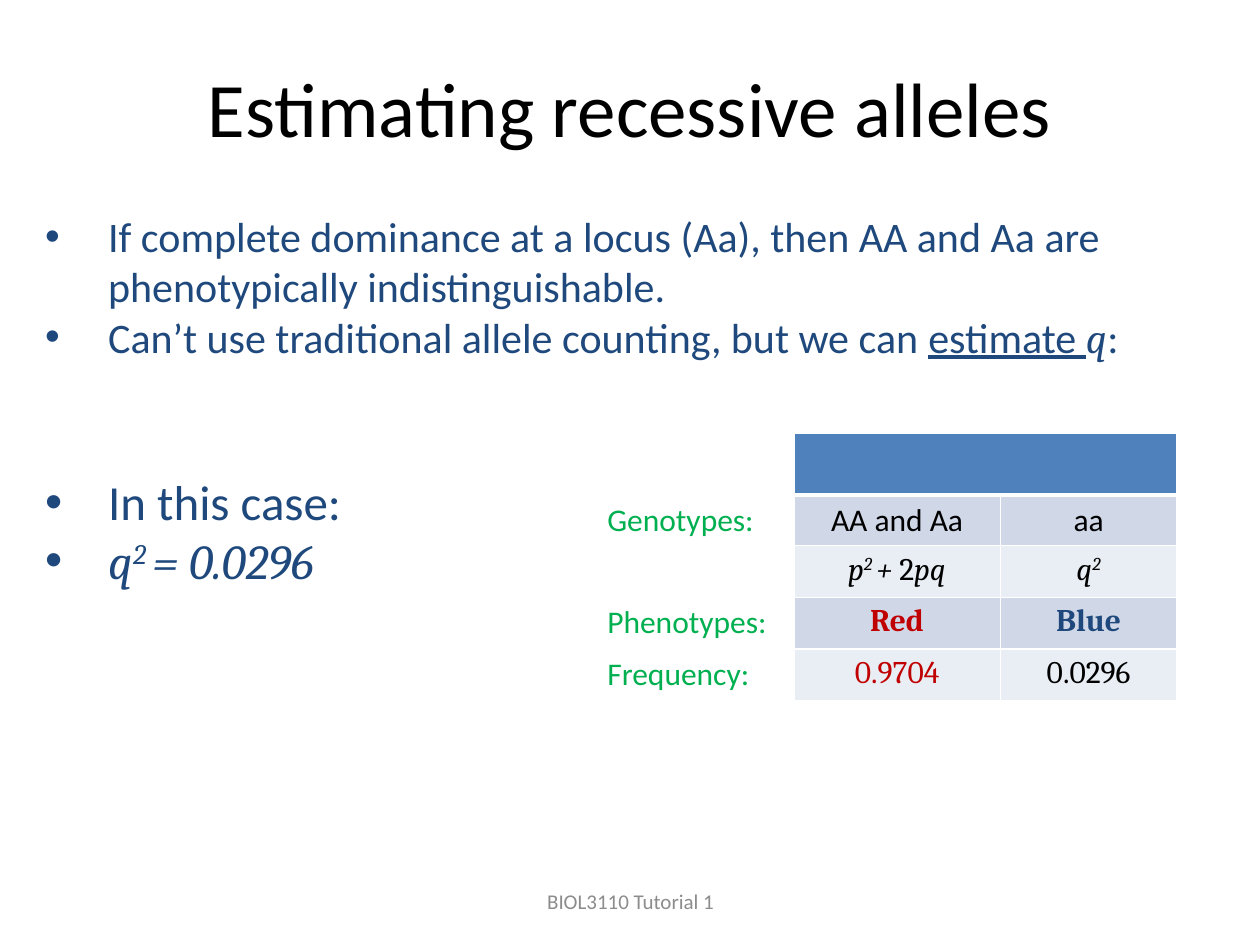
from dataclasses import dataclass

from lxml.etree import SubElement
from pptx import Presentation
from pptx.dml.color import RGBColor
from pptx.enum.text import MSO_ANCHOR as Anchor, PP_ALIGN as Align
from pptx.oxml.ns import qn
from pptx.util import Inches, Pt


@dataclass(frozen=True)
class Theme:
    body_font: str = "Calibri"
    math_font: str = "Cambria"
    black: str = "000000"
    white: str = "FFFFFF"
    navy: str = "1F497D"
    green: str = "00B050"
    red: str = "C00000"
    grey: str = "8C8C8C"
    header: str = "4F81BD"
    dark_band: str = "D0D8E8"
    light_band: str = "E9EDF4"
    title_size: int = 44
    case_size: int = 28
    body_size: int = 24
    table_size: int = 18
    footer_size: int = 12


THEME = Theme()
MATH = dict(name=THEME.math_font)
ITALIC = dict(name=THEME.math_font, italic=True)
RAISED = dict(ITALIC, raised=True)


def add_run(paragraph, text, size, color, name=THEME.body_font,
            bold=False, italic=False, underline=False, raised=False):
    run = paragraph.add_run()
    run.text = text
    font = run.font
    font.name, font.size = name, Pt(size)
    font.bold, font.italic, font.underline = bold, italic, underline
    font.color.rgb = RGBColor.from_string(color)
    if raised:
        run._r.get_or_add_rPr().set("baseline", "30000")


def add_text_frame(slide, box, anchor=Anchor.TOP):
    shape = slide.shapes.add_textbox(*map(Inches, box))
    frame = shape.text_frame
    frame.word_wrap = True
    frame.vertical_anchor = anchor
    return frame


def add_centred_line(slide, box, text, size, color):
    paragraph = add_text_frame(slide, box, Anchor.MIDDLE).paragraphs[0]
    paragraph.alignment = Align.CENTER
    add_run(paragraph, text, size, color)


def set_bullet(paragraph):
    properties = paragraph._p.get_or_add_pPr()
    properties.set("marL", str(Inches(0.5)))
    properties.set("indent", str(-Inches(0.5)))
    SubElement(properties, qn("a:buFont"), typeface="Arial")
    SubElement(properties, qn("a:buChar"), char="•")


def add_bullets(slide, box):
    bullets = [
        (THEME.body_size, 0, [
            ("If complete dominance at a locus (Aa), then AA and Aa are "
             "phenotypically indistinguishable.", {})]),
        (THEME.body_size, 0, [
            ("Can’t use traditional allele counting, but we can ", {}),
            ("estimate ", dict(underline=True)), ("q", ITALIC), (":", {})]),
        (THEME.case_size, 63, [("In this case:", {})]),
        (THEME.case_size, 0, [
            ("q", ITALIC), ("2 ", RAISED), ("= 0.0296", ITALIC)]),
    ]
    frame = add_text_frame(slide, box)
    for index, (size, gap, runs) in enumerate(bullets):
        paragraph = frame.add_paragraph() if index else frame.paragraphs[0]
        set_bullet(paragraph)
        if gap:
            paragraph.space_before = Pt(gap)
        for text, style in runs:
            add_run(paragraph, text, size, THEME.navy, **style)


def style_cell(cell, color, bottom_width):
    properties = cell._tc.get_or_add_tcPr()
    for side in "LRTB":
        width = bottom_width if side == "B" else 1
        line = SubElement(properties, qn(f"a:ln{side}"), w=str(Pt(width)))
        fill = SubElement(line, qn("a:solidFill"))
        SubElement(fill, qn("a:srgbClr"), val=THEME.white)
    cell.fill.solid()
    cell.fill.fore_color.rgb = RGBColor.from_string(color)


def add_genotype_table(slide, box):
    label = dict(color=THEME.green)
    rows = [
        [[], [], []],
        [[("Genotypes:", label)], [("AA and Aa", {})], [("aa", {})]],
        [[],
         [("p", ITALIC), ("2 ", RAISED), ("+ ", ITALIC), ("2", MATH),
          ("pq", ITALIC)],
         [("q", ITALIC), ("2", RAISED)]],
        [[("Phenotypes:", label)],
         [("Red", dict(MATH, bold=True, color=THEME.red))],
         [("Blue", dict(MATH, bold=True, color=THEME.navy))]],
        [[("Frequency:", label)],
         [("0.9704", dict(MATH, color=THEME.red))], [("0.0296", MATH)]],
    ]
    widths = [1.58, 1.64, 1.4]
    heights = [0.49, 0.4, 0.41, 0.41, 0.41]
    bands = [THEME.header] + [THEME.dark_band, THEME.light_band] * 2
    shape = slide.shapes.add_table(len(rows), len(widths), *map(Inches, box))
    table = shape.table
    table.first_row = table.horz_banding = False
    for column, width in zip(table.columns, widths):
        column.width = Inches(width)
    for row_index, (cells, height, band) in enumerate(zip(rows, heights, bands)):
        table.rows[row_index].height = Inches(height)
        for column_index, runs in enumerate(cells):
            cell = table.cell(row_index, column_index)
            style_cell(cell, band if column_index else THEME.white,
                       1 if row_index else 3)
            paragraph = cell.text_frame.paragraphs[0]
            paragraph.alignment = Align.CENTER if column_index else Align.LEFT
            for text, style in runs:
                add_run(paragraph, text, THEME.table_size,
                        **{"color": THEME.black, **style})
    table.cell(0, 1).merge(table.cell(0, 2))


def main():
    presentation = Presentation()
    presentation.slide_width = Inches(10)
    presentation.slide_height = Inches(7.5)
    slide = presentation.slides.add_slide(presentation.slide_layouts[6])
    add_centred_line(slide, (0.5, 0.22, 9, 1.25), "Estimating recessive alleles",
                     THEME.title_size, THEME.black)
    add_bullets(slide, (0.26, 1.62, 9.15, 5.02))
    add_genotype_table(slide, (4.72, 3.44, 4.62, 2.12))
    add_centred_line(slide, (3.42, 6.95, 3.17, 0.4), "BIOL3110 Tutorial 1",
                     THEME.footer_size, THEME.grey)
    presentation.save("out.pptx")


if __name__ == "__main__":
    main()
